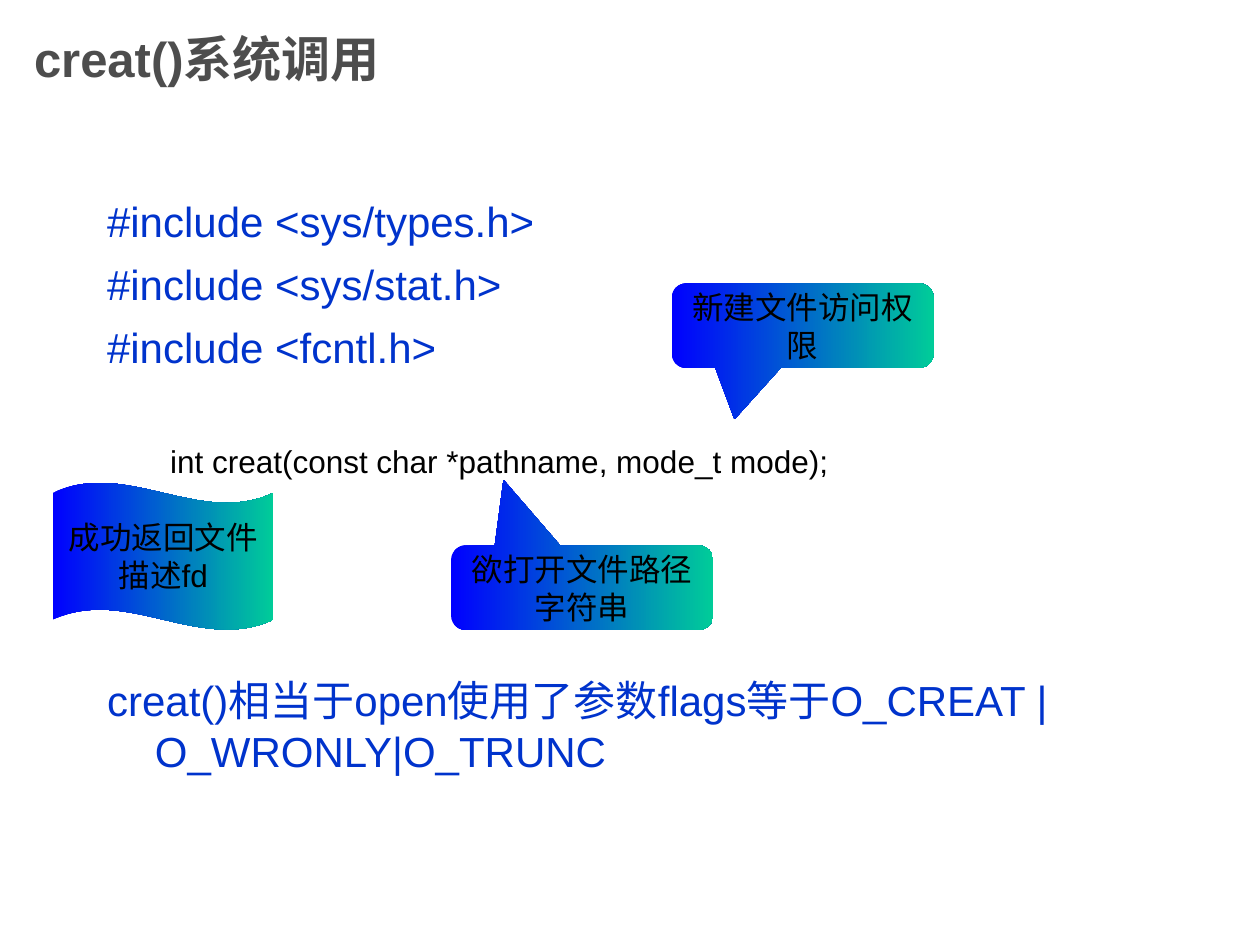
from dataclasses import dataclass

from pptx import Presentation
from pptx.dml.color import RGBColor
from pptx.enum.shapes import MSO_SHAPE
from pptx.enum.text import MSO_ANCHOR, MSO_AUTO_SIZE, PP_ALIGN
from pptx.oxml.ns import qn
from pptx.util import Inches, Pt

FONT = "Arial"
COLORS = {
    "title": "4D4D4D",
    "body": "0033CC",
    "text": "000000",
    "grad_start": "0000FF",
    "grad_end": "00CC99",
}


@dataclass
class Line:
    text: str
    before: float = 7.2
    level: int = 0
    size: int = 24
    color: str = "body"
    left: float = 0.38
    hanging: float = 0.38


@dataclass
class Note:
    shape: MSO_SHAPE
    left: float
    top: float
    width: float
    height: float
    adjustments: tuple[float, ...]
    text: str
    wrap: bool = True


LINES = [
    Line("#include <sys/types.h>"),
    Line("#include <sys/stat.h>"),
    Line("#include <fcntl.h>"),
    Line("int creat(const char *pathname, mode_t mode);", before=40, level=1,
         size=18, color="text", left=0.81, hanging=0.31),
    Line("creat()相当于open使用了参数flags等于O_CREAT |O_WRONLY|O_TRUNC", before=111.6),
]

CALLOUT = MSO_SHAPE.ROUNDED_RECTANGULAR_CALLOUT
NOTES = [
    Note(MSO_SHAPE.WAVE, 0.42, 3.83, 1.75, 1.17, (0.07, 0),
         "成功返回文件\n描述fd", wrap=False),
    Note(CALLOUT, 3.58, 4.33, 2.08, 0.67, (-0.3, -1.28, 0.17), "欲打开文件路径字符串"),
    Note(CALLOUT, 5.33, 2.25, 2.08, 0.67, (-0.26, 1.11, 0.17), "新建文件访问权限"),
]


def rgb(name: str) -> RGBColor:
    return RGBColor.from_string(COLORS[name])


def set_font(p, size: int, color: str, bold: bool = False) -> None:
    p.font.name = FONT
    p.font.size = Pt(size)
    p.font.bold = bold
    p.font.color.rgb = rgb(color)


def place(sp, left: float, top: float, width: float, height: float) -> None:
    sp.left, sp.top = Inches(left), Inches(top)
    sp.width, sp.height = Inches(width), Inches(height)
    sp.text_frame.auto_size = MSO_AUTO_SIZE.NONE


def add_title(s, text: str) -> None:
    sp = s.shapes.title
    place(sp, 0.17, 0, 7.5, 0.92)
    tf = sp.text_frame
    tf.vertical_anchor = MSO_ANCHOR.MIDDLE
    tf.text = text
    p = tf.paragraphs[0]
    p.alignment = PP_ALIGN.LEFT
    set_font(p, 28, "title", bold=True)


def add_body(s, lines: list[Line]) -> None:
    sp = s.placeholders[1]
    place(sp, 0.75, 1.5, 8.5, 5.17)
    tf = sp.text_frame
    tf.text = "\n".join(line.text for line in lines)
    for p, line in zip(tf.paragraphs, lines):
        p.level = line.level
        p.space_before = Pt(line.before)
        set_font(p, line.size, line.color)
        pPr = p._p.get_or_add_pPr()
        pPr.set("marL", str(Inches(line.left)))
        pPr.set("indent", str(-Inches(line.hanging)))
        pPr.insert_element_before(pPr.makeelement(qn("a:buNone"), {}),
                                  "a:tabLst", "a:defRPr", "a:extLst")


def add_note(s, note: Note) -> None:
    sp = s.shapes.add_shape(note.shape, Inches(note.left), Inches(note.top),
                            Inches(note.width), Inches(note.height))
    for i, value in enumerate(note.adjustments):
        sp.adjustments[i] = value
    sp.shadow.inherit = False
    sp.line.fill.background()
    sp.fill.gradient()
    sp.fill.gradient_angle = 0
    for stop, position, color in zip(sp.fill.gradient_stops, (0, 1),
                                     ("grad_start", "grad_end")):
        stop.position = position
        stop.color.rgb = rgb(color)
    tf = sp.text_frame
    tf.word_wrap = note.wrap
    tf.vertical_anchor = MSO_ANCHOR.MIDDLE
    tf.text = note.text
    for p in tf.paragraphs:
        p.alignment = PP_ALIGN.CENTER
        set_font(p, 18, "text")


def main() -> None:
    prs = Presentation()
    prs.slide_width, prs.slide_height = Inches(10), Inches(7.5)
    s = prs.slides.add_slide(prs.slide_layouts[1])
    add_title(s, "creat()系统调用")
    add_body(s, LINES)
    for note in NOTES:
        add_note(s, note)
    prs.save("out.pptx")


if __name__ == "__main__":
    main()
